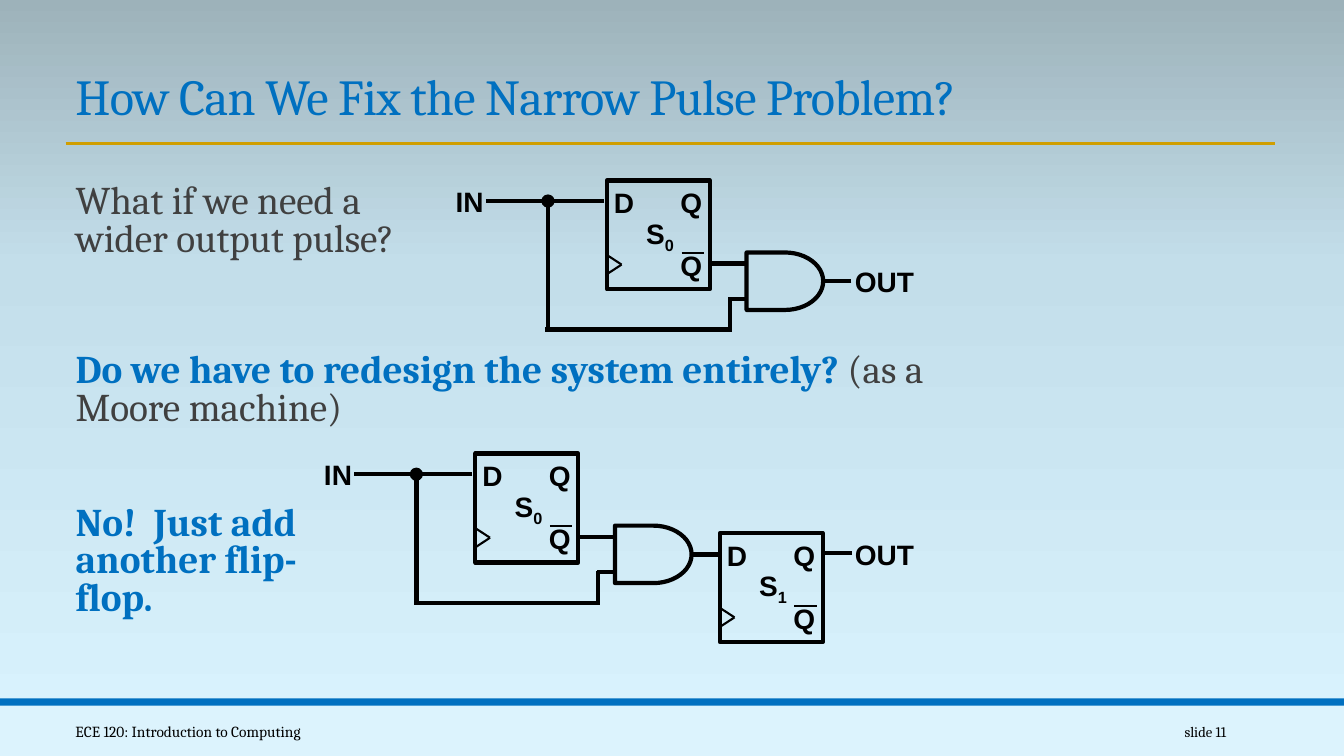
from copy import deepcopy
from dataclasses import dataclass
from typing import Any

from lxml.etree import SubElement
from pptx import Presentation
from pptx.dml.color import RGBColor
from pptx.enum.shapes import MSO_CONNECTOR, MSO_SHAPE
from pptx.enum.text import MSO_ANCHOR, MSO_AUTO_SIZE, PP_ALIGN
from pptx.oxml.ns import qn
from pptx.util import Inches, Pt

HUES = {
    "blue": "0070C0", "gold": "D09E00", "gray": "404040", "black": "000000",
    "foot": "DCF3FD", "low": "DAF4FF", "mid": "C3DEEA", "high": "9DB2BA",
}
COLS, ROWS = 133.3, 75
SERIF, SANS = "Cambria", "Arial"


@dataclass
class Run:
    text: str
    size: float
    hue: str = "black"
    bold: bool = False
    font: str = SERIF
    base: int = 0
    track: int = 0


@dataclass
class Text:
    x: float
    y: float
    w: float
    h: float
    runs: list[Run]
    lead: float = 1
    before: float = 0
    after: float = 0
    inset: float = 1
    wrap: bool = True
    side: PP_ALIGN = PP_ALIGN.LEFT
    anchor: MSO_ANCHOR = MSO_ANCHOR.TOP


@dataclass
class Wire:
    x1: float
    y1: float
    x2: float
    y2: float
    width: float = 3
    hue: str = "black"


@dataclass
class Form:
    kind: MSO_SHAPE
    x: float
    y: float
    w: float
    h: float
    fill: str = ""
    width: float = 0


@dataclass
class Latch:
    x: float
    y: float
    digit: str


def cell(count: float) -> int:
    return Inches(count / 10)


def tint(name: str) -> RGBColor:
    return RGBColor.from_string(HUES[name])


def write(area: Any, item: Text) -> None:
    box = area.add_textbox(*map(cell, (item.x, item.y, item.w, item.h)))
    frame = box.text_frame
    frame.word_wrap = item.wrap
    frame.auto_size = MSO_AUTO_SIZE.NONE if item.wrap else MSO_AUTO_SIZE.SHAPE_TO_FIT_TEXT
    frame.vertical_anchor = item.anchor
    frame.margin_left = frame.margin_right = cell(item.inset)
    para = frame.paragraphs[0]
    para.alignment = item.side
    para.line_spacing = item.lead
    para.space_before, para.space_after = Pt(item.before), Pt(item.after)
    for part in item.runs:
        for order, line in enumerate(part.text.split("\n")):
            if order:
                para.add_line_break()
            run = para.add_run()
            run.text = line
            font = run.font
            font.name, font.size, font.bold = part.font, Pt(part.size), part.bold
            font.color.rgb = tint(part.hue)
            if part.base:
                run._r.get_or_add_rPr().set("baseline", str(part.base))
            if part.track:
                run._r.get_or_add_rPr().set("spc", str(part.track))


def link(area: Any, item: Wire) -> None:
    ends = map(cell, (item.x1, item.y1, item.x2, item.y2))
    line = area.add_connector(MSO_CONNECTOR.STRAIGHT, *ends)
    line.line.color.rgb = tint(item.hue)
    line.line.width = Pt(item.width)
    SubElement(line._element.spPr, qn("a:effectLst"))


def draw(area: Any, item: Form) -> None:
    shape = area.add_shape(item.kind, *map(cell, (item.x, item.y, item.w, item.h)))
    shape.shadow.inherit = False
    if item.fill:
        shape.fill.solid()
        shape.fill.fore_color.rgb = tint(item.fill)
    else:
        shape.fill.background()
    if item.width:
        shape.line.color.rgb = tint("black")
        shape.line.width = Pt(item.width)
    else:
        shape.line.fill.background()


def label(area: Any, x: float, y: float, w: float, text: str, sub: str = "") -> None:
    runs = [Run(text, 20, bold=True, font=SANS)]
    if sub:
        runs.append(Run(sub, 20, bold=True, font=SANS, base=-25000))
    write(area, Text(x, y, w, 4.4, runs, after=4, wrap=False))


def store(area: Any, item: Latch) -> None:
    x, y = item.x, item.y
    draw(area, Form(MSO_SHAPE.RECTANGLE, x, y, 10.2, 10.8, width=3))
    label(area, x - 0.3, y, 4.1, "D")
    label(area, x + 2.9, y + 3.05, 4.9, "S", item.digit)
    for drop in (0, 6.25):
        label(area, x + 6.3, y + drop, 4.2, "Q")
    link(area, Wire(x + 7.4, y + 7.2, x + 9.6, y + 7.2, 1.5))
    for edge in (7.4, 9.3):
        link(area, Wire(x + 1.45, y + 8.35, x, y + edge, 1.5))


def pulse(area: Any, x: float, y: float) -> None:
    store(area, Latch(x, y, "0"))
    label(area, x - 16, y - 0.1, 4.8, "IN")
    draw(area, Form(MSO_SHAPE.FLOWCHART_DELAY, x + 13.85, y + 7.15, 7.6, 5.7, width=3))
    for x1, y1, x2, y2 in (
        (-0.3, 2.05, -12, 2.05), (13.85, 8.25, 10.2, 8.25),
        (13.85, 11.75, 12.1, 11.75), (24.25, 10, 21.45, 10),
        (12.2, 15, 12.2, 11.6), (12, 14.8, -6.1, 14.8), (-5.85, 14.75, -5.85, 2.05),
    ):
        link(area, Wire(x + x1, y + y1, x + x2, y + y2))
    draw(area, Form(MSO_SHAPE.OVAL, x - 6.35, y + 1.55, 1, 1, "black", 2.25))


def paint(slide: Any) -> None:
    fill = slide.background.fill
    fill.gradient()
    fill.gradient_angle = 90
    first = next(slide.element.iter(qn("a:gs")))
    first.addnext(deepcopy(first))
    for stop, name, spot in zip(fill.gradient_stops, ("low", "mid", "high"), (0, 0.65, 1)):
        stop.color.rgb = tint(name)
        stop.position = spot


def main() -> None:
    deck = Presentation()
    deck.slide_width, deck.slide_height = cell(COLS), cell(ROWS)
    slide = deck.slides.add_slide(deck.slide_layouts[6])
    area = slide.shapes
    paint(slide)
    draw(area, Form(MSO_SHAPE.RECTANGLE, 0, 70, COLS, 5, "foot"))
    draw(area, Form(MSO_SHAPE.RECTANGLE, 0, 69.3, COLS, 0.7, "blue"))
    link(area, Wire(6.5, 14.2, 126.5, 14.2, 2, "gold"))

    title = Run("How Can We Fix the Narrow Pulse Problem?", 36, "blue", track=-50)
    write(area, Text(6.5, 5.9, 120.1, 7.1, [title], lead=0.85, anchor=MSO_ANCHOR.BOTTOM))
    for top, high, runs in (
        (17.8, 10, [Run("What if we need a\nwider output pulse?", 28, "gray")]),
        (34.6, 10, [Run("Do we have to redesign the system entirely? ", 28, "blue", True),
                    Run("(as a Moore machine)", 28, "gray")]),
        (49.7, 14, [Run("No!  Just add\nanother flip-\nflop.", 28, "blue", True)]),
    ):
        write(area, Text(7.5, top, 84.2, high, runs, 0.8, 12, 2, 0))
    for x, w, text, size, side in (
        (6.5, 32.5, "ECE 120: Introduction to Computing", 11, PP_ALIGN.LEFT),
        (108.3, 14.3, "slide 11", 10.5, PP_ALIGN.RIGHT),
    ):
        write(area, Text(x, 70.6, w, 4, [Run(text, size)], side=side, anchor=MSO_ANCHOR.MIDDLE))

    narrow = area.add_group_shape().shapes
    pulse(narrow, 60.2, 17.9)
    label(narrow, 83.8, 25.8, 7.9, "OUT")
    wide = area.add_group_shape().shapes
    pulse(wide, 47.15, 45)
    store(wide, Latch(71.4, 52.9, "1"))
    link(wide, Wire(84.5, 54.9, 81.7, 54.9))
    label(wide, 83.8, 52.8, 7.9, "OUT")
    deck.save("out.pptx")


if __name__ == "__main__":
    main()
